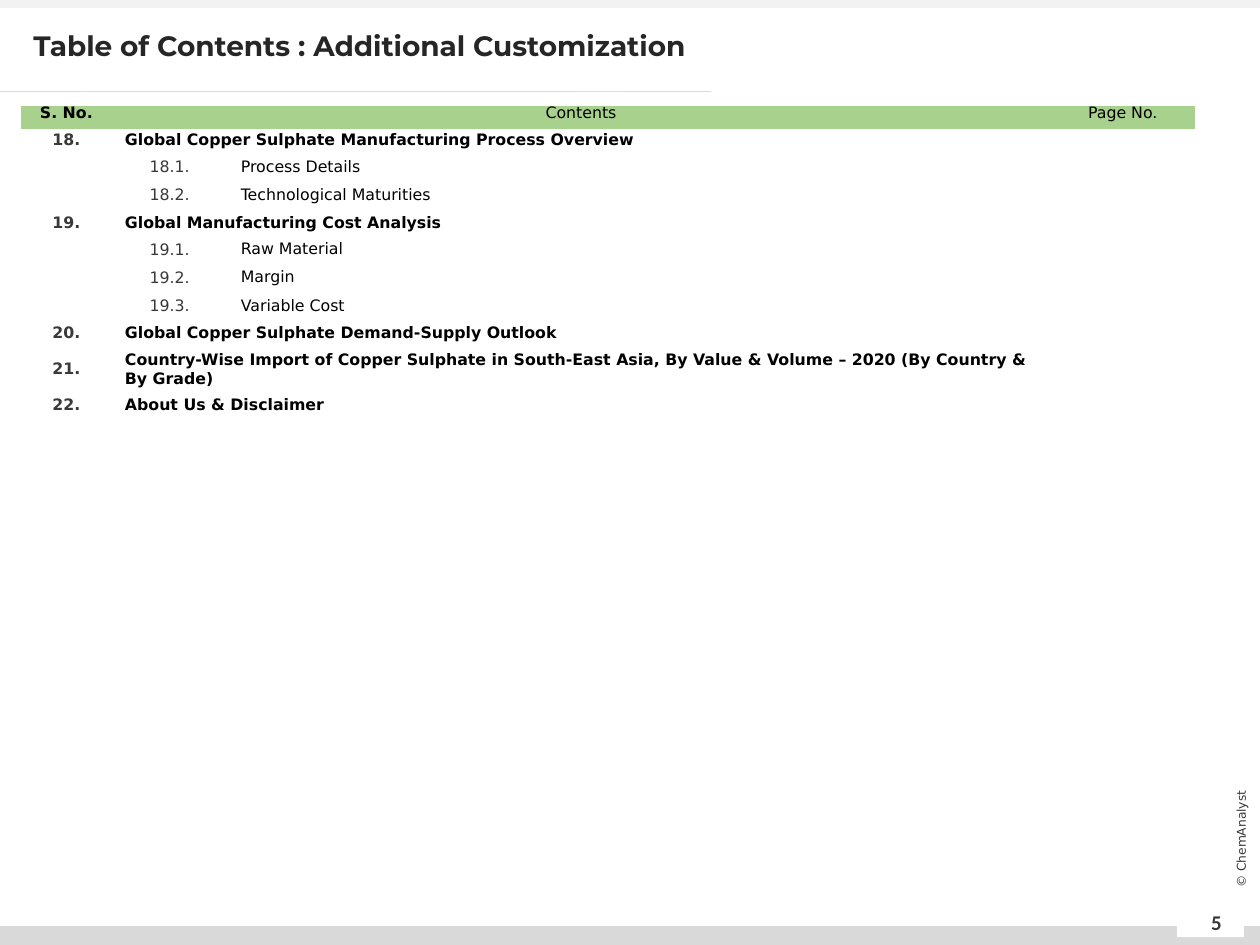
from lxml import etree
from pptx import Presentation
from pptx.dml.color import RGBColor
from pptx.enum.shapes import MSO_CONNECTOR, MSO_SHAPE
from pptx.enum.text import MSO_ANCHOR, PP_ALIGN
from pptx.oxml.ns import qn
from pptx.util import Pt

RECTANGLE = MSO_SHAPE.RECTANGLE
STRAIGHT = MSO_CONNECTOR.STRAIGHT
TOP, MIDDLE = MSO_ANCHOR.TOP, MSO_ANCHOR.MIDDLE
LEFT, CENTER = PP_ALIGN.LEFT, PP_ALIGN.CENTER

BLACK = RGBColor(0x00, 0x00, 0x00)
WHITE = RGBColor(0xFF, 0xFF, 0xFF)
TITLE_COLOR = RGBColor(0x26, 0x26, 0x26)
DARK_GRAY = RGBColor(0x3B, 0x38, 0x38)
GRAY = RGBColor(0xD9, 0xD9, 0xD9)
LIGHT_GRAY = RGBColor(0xF2, 0xF2, 0xF2)
GREEN = RGBColor(0xA9, 0xD1, 0x8E)

TABLE_FONT = "DejaVu Sans"
TABLE_SIZE = 9
NO_GRID_STYLE = "{2D5ABB26-0587-4C30-8999-92F81FD0307C}"

TITLE = "Table of Contents : Additional Customization"
HEADERS = {0: "S. No.", 1: "Contents", 3: "Page No."}
SECTIONS = [
    ("Global Copper Sulphate Manufacturing Process Overview",
     ["Process Details", "Technological Maturities"]),
    ("Global Manufacturing Cost Analysis",
     ["Raw Material", "Margin", "Variable Cost"]),
    ("Global Copper Sulphate Demand-Supply Outlook", []),
    ("Country-Wise Import of Copper Sulphate in South-East Asia, "
     "By Value & Volume – 2020 (By Country & By Grade)", []),
    ("About Us & Disclaimer", []),
]
FIRST_SECTION = 18
TOP_ANCHORED = {"Raw Material", "Margin"}

BARS = [
    (0, 529.2, 720, 10.8, GRAY),
    (0, 0, 720, 4.5, LIGHT_GRAY),
    (672.6, 519.8, 38.2, 15.8, WHITE),
]
COLUMN_WIDTHS = [51.84, 66.24, 470.16, 82.8]
HEADER_HEIGHT, ROW_HEIGHT, TALL_ROW_HEIGHT = 13.2, 15.84, 21.6
WRAP_LENGTH = 90


def format_text(text_frame, text, font_name, size, color, bold, alignment):
    text_frame.text = text
    paragraph = text_frame.paragraphs[0]
    paragraph.alignment = alignment
    font = paragraph.runs[0].font
    font.name, font.size, font.bold = font_name, Pt(size), bold
    font.color.rgb = color
    return paragraph


def add_bar(slide, left, top, width, height, color):
    bar = slide.shapes.add_shape(RECTANGLE, Pt(left), Pt(top), Pt(width), Pt(height))
    bar.shadow.inherit = False
    bar.fill.solid()
    bar.fill.fore_color.rgb = color
    bar.line.fill.background()


def add_label(slide, box, anchor, *text_format):
    label = slide.shapes.add_textbox(*map(Pt, box))
    label.text_frame.word_wrap = True
    label.text_frame.vertical_anchor = anchor
    return label, format_text(label.text_frame, *text_format)


def fill_cell(cell, text, color, bold, alignment, margin_top=0, anchor=MIDDLE):
    cell.vertical_anchor = anchor
    cell.margin_top = Pt(margin_top)
    return format_text(cell.text_frame, text, TABLE_FONT, TABLE_SIZE, color, bold, alignment)


def add_contents_table(slide):
    rows = []
    for number, (heading, topics) in enumerate(SECTIONS, FIRST_SECTION):
        rows.append((0, f"{number}.", heading))
        rows += [(1, f"{number}.{index}.", topic) for index, topic in enumerate(topics, 1)]
    heights = [HEADER_HEIGHT] + [
        TALL_ROW_HEIGHT if len(text) > WRAP_LENGTH else ROW_HEIGHT for _, _, text in rows
    ]

    frame = slide.shapes.add_table(
        len(heights), len(COLUMN_WIDTHS), Pt(12), Pt(60.5),
        Pt(sum(COLUMN_WIDTHS)), Pt(sum(heights)),
    )
    table = frame.table
    table.first_row = table.horz_banding = False
    table._tbl.tblPr.find(qn("a:tableStyleId")).text = NO_GRID_STYLE
    for column, width in zip(table.columns, COLUMN_WIDTHS):
        column.width = Pt(width)
    for row, height in zip(table.rows, heights):
        row.height = Pt(height)

    for cell in table.iter_cells():
        cell.fill.background()
        cell.margin_left = cell.margin_right = Pt(7.6)
        cell.margin_top, cell.margin_bottom = Pt(0), Pt(3.6)
        end_format = etree.SubElement(cell.text_frame.paragraphs[0]._p, qn("a:endParaRPr"))
        end_format.set("sz", str(TABLE_SIZE * 100))

    for column in range(len(COLUMN_WIDTHS)):
        cell = table.cell(0, column)
        cell.fill.solid()
        cell.fill.fore_color.rgb = GREEN
        if column in HEADERS:
            paragraph = fill_cell(cell, HEADERS[column], BLACK, column == 0, CENTER, 3.6)
            paragraph.line_spacing = Pt(6)
    table.cell(0, 1).merge(table.cell(0, 2))

    for row, (level, number, text) in enumerate(rows, 1):
        bold = level == 0
        anchor = TOP if text in TOP_ANCHORED else MIDDLE
        fill_cell(table.cell(row, level), number, DARK_GRAY, bold, CENTER)
        fill_cell(table.cell(row, level + 1), text, BLACK, bold, LEFT, anchor=anchor)
        if bold:
            table.cell(row, 1).merge(table.cell(row, 2))


def main():
    presentation = Presentation()
    presentation.slide_width, presentation.slide_height = Pt(720), Pt(540)
    slide = presentation.slides.add_slide(presentation.slide_layouts[6])

    for bar in BARS:
        add_bar(slide, *bar)

    rule = slide.shapes.add_connector(STRAIGHT, Pt(0), Pt(52.2), Pt(406.5), Pt(52.2))
    rule.line.color.rgb = GRAY
    rule.line.width = Pt(0.5)
    etree.SubElement(rule._element.spPr, qn("a:effectLst"))

    add_label(slide, (677.5, 512.6, 35.3, 28.8), MIDDLE,
              "5", "Calibri", 12, DARK_GRAY, True, CENTER)
    copyright_label, _ = add_label(slide, (666, 473.8, 86.4, 11.5), MIDDLE,
                                   "© ChemAnalyst", TABLE_FONT, 7, DARK_GRAY, False, CENTER)
    copyright_label.rotation = 270
    _, title = add_label(slide, (12, 15.1, 619.2, 36), TOP,
                         TITLE, "Montserrat", 16, TITLE_COLOR, True, LEFT)
    title.line_spacing = 0.9

    add_contents_table(slide)
    presentation.save("out.pptx")


if __name__ == "__main__":
    main()
